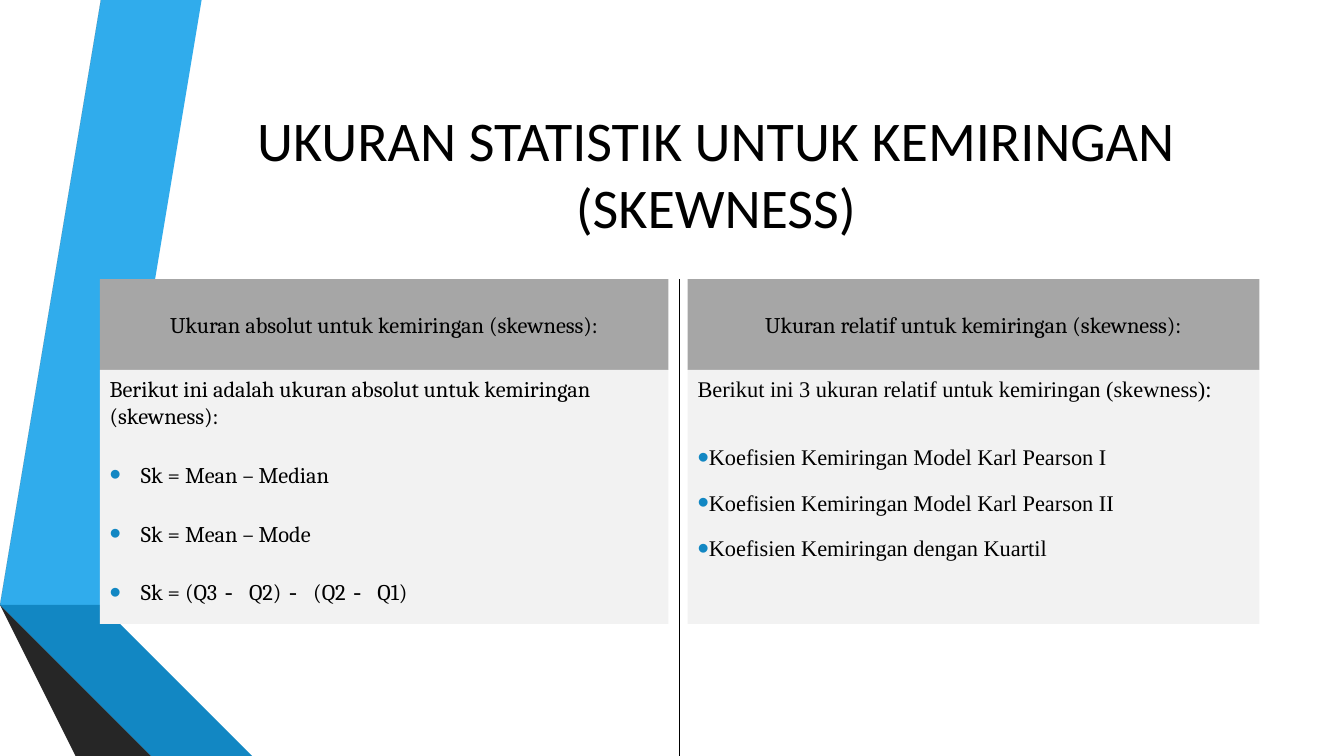
"""Builds a slide comparing absolute and relative measures of skewness."""
from dataclasses import dataclass

from lxml.etree import SubElement
from pptx import Presentation
from pptx.dml.color import RGBColor
from pptx.enum.shapes import MSO_CONNECTOR, MSO_SHAPE
from pptx.enum.text import MSO_ANCHOR, PP_ALIGN
from pptx.oxml.ns import qn
from pptx.slide import Slide
from pptx.util import Inches, Pt

BLACK = RGBColor(0x00, 0x00, 0x00)
SKY = RGBColor(0x30, 0xAC, 0xEC)
BLUE = RGBColor(0x12, 0x87, 0xC3)
NAVY = RGBColor(0x0C, 0x5A, 0x82)
GREY = RGBColor(0x59, 0x59, 0x59)
DARK = RGBColor(0x40, 0x40, 0x40)
COAL = RGBColor(0x26, 0x26, 0x26)
HEAD = RGBColor(0xA6, 0xA6, 0xA6)
BODY = RGBColor(0xF2, 0xF2, 0xF2)

SERIF, ROMAN, MONO = "Cambria", "Times New Roman", "Courier New"
TOP, SPLIT, BASE = 2.77, 3.67, 6.19


@dataclass
class Band:
    color: RGBColor
    points: list[tuple[float, float]]


@dataclass
class Line:
    runs: list[tuple[str, str]]
    form: dict
    margin: float | None = None


@dataclass
class Column:
    left: float
    width: float
    head: Line
    body: list[Line]


BANDS = [
    Band(SKY, [(0.5, 5.78), (0.77, 5.83), (1.73, 0), (1.45, 0)]),
    Band(GREY, [(1.39, 0), (1.11, 0), (0.16, 5.73), (0.44, 5.77)]),
    Band(COAL, [(0.16, 5.73), (1.45, 7.5), (1.51, 7.5)]),
    Band(NAVY, [(0.5, 5.79), (2.08, 7.5), (2.14, 7.5)]),
    Band(BLUE, [(0.5, 5.78), (2.14, 7.5), (2.83, 7.5), (0.77, 5.83)]),
    Band(DARK, [(2.02, 7.5), (0.48, 5.83), (0.44, 5.77), (0.16, 5.73), (1.51, 7.5)]),
]

MID = {"alignment": PP_ALIGN.CENTER}
LEFT = {"alignment": PP_ALIGN.LEFT}
WIDE = LEFT | {"line_spacing": 2.0, "space_before": Pt(3.7)}
LOOSE = LEFT | {"line_spacing": 1.5, "space_before": Pt(3.7)}
APART = LOOSE | {"space_before": Pt(20.2)}

COLUMNS = [
    Column(0.99, 5.64, Line([("Ukuran absolut untuk kemiringan (skewness):", SERIF)], MID), [
        Line([("Berikut ini adalah ukuran absolut untuk kemiringan (skewness):", SERIF)], LEFT),
        Line([("Sk = Mean – Median", SERIF)], WIDE, 0.31),
        Line([("Sk = Mean – Mode", SERIF)], WIDE, 0.31),
        Line([("Sk = (Q3 ", SERIF), ("- ", MONO), ("Q2) ", SERIF), ("- ", MONO),
              ("(Q2 ", SERIF), ("- ", MONO), ("Q1)", SERIF)], WIDE, 0.31),
    ]),
    Column(6.82, 5.67, Line([("Ukuran relatif untuk kemiringan (skewness):", SERIF)], MID), [
        Line([("Berikut ini 3 ukuran relatif untuk kemiringan (skewness):", ROMAN)], LEFT),
        Line([("Koefisien Kemiringan Model Karl Pearson I", ROMAN)], APART, 0.01),
        Line([("Koefisien Kemiringan Model Karl Pearson II", ROMAN)], LOOSE, 0.01),
        Line([("Koefisien Kemiringan dengan Kuartil", ROMAN)], LOOSE, 0.01),
    ]),
]


def apply(target, form: dict) -> None:
    for name, value in form.items():
        setattr(target, name, value)


def paint(shape, color: RGBColor) -> None:
    shape.shadow.inherit = False
    shape.fill.solid()
    shape.fill.fore_color.rgb = color
    shape.line.fill.background()


def add_band(slide: Slide, band: Band) -> None:
    first, *rest = band.points
    pen = slide.shapes.build_freeform(*first, scale=Inches(1))
    pen.add_line_segments(rest, close=True)
    paint(pen.convert_to_shape(), band.color)


def add_dot(para, margin: float) -> None:
    props = para._p.get_or_add_pPr()
    props.set("marL", str(Inches(margin)))
    props.set("indent", str(Inches(-0.31)))
    tint = SubElement(props, qn("a:buClr"))
    SubElement(tint, qn("a:srgbClr"), val=str(BLUE))
    SubElement(props, qn("a:buSzPct"), val="145000")
    SubElement(props, qn("a:buFont"), typeface="Arial")
    SubElement(props, qn("a:buChar"), char="•")


def write(para, line: Line, size: float) -> None:
    if line.margin is not None:
        add_dot(para, line.margin)
    apply(para, line.form)
    for text, face in line.runs:
        run = para.add_run()
        run.text = text
        apply(run.font, {"name": face, "size": Pt(size)})
        run.font.color.rgb = BLACK


def add_box(slide: Slide, col: Column, top: float, end: float,
            color: RGBColor, anchor: MSO_ANCHOR, lines: list[Line]) -> None:
    box = slide.shapes.add_shape(MSO_SHAPE.RECTANGLE, Inches(col.left), Inches(top),
                                 Inches(col.width), Inches(end - top))
    paint(box, color)
    frame = box.text_frame
    apply(frame, {"word_wrap": True, "vertical_anchor": anchor})
    for index, line in enumerate(lines):
        para = frame.add_paragraph() if index else frame.paragraphs[0]
        write(para, line, 16)


def add_title(slide: Slide, text: str) -> None:
    title = slide.shapes.title
    apply(title, {"left": Inches(1.62), "top": Inches(0.75),
                  "width": Inches(10.96), "height": Inches(1.92)})
    apply(title.text_frame, {"word_wrap": True, "vertical_anchor": MSO_ANCHOR.MIDDLE})
    write(title.text_frame.paragraphs[0], Line([(text, "Calibri")], MID), 40)


def add_rule(slide: Slide, x: float, top: float, end: float) -> None:
    rule = slide.shapes.add_connector(MSO_CONNECTOR.STRAIGHT, Inches(x), Inches(top),
                                      Inches(x), Inches(end))
    rule.line.color.rgb = BLACK
    rule.line.width = Pt(1)
    SubElement(rule._element.spPr, qn("a:effectLst"))


def main() -> None:
    deck = Presentation()
    apply(deck, {"slide_width": Inches(13.33), "slide_height": Inches(7.5)})
    slide = deck.slides.add_slide(deck.slide_layouts[5])
    for band in BANDS:
        add_band(slide, band)
    add_title(slide, "UKURAN STATISTIK UNTUK KEMIRINGAN (SKEWNESS)")
    for col in COLUMNS:
        add_box(slide, col, TOP, SPLIT, HEAD, MSO_ANCHOR.MIDDLE, [col.head])
        add_box(slide, col, SPLIT, BASE, BODY, MSO_ANCHOR.TOP, col.body)
    add_rule(slide, 6.74, TOP, 7.5)
    deck.save("out.pptx")


if __name__ == "__main__":
    main()
